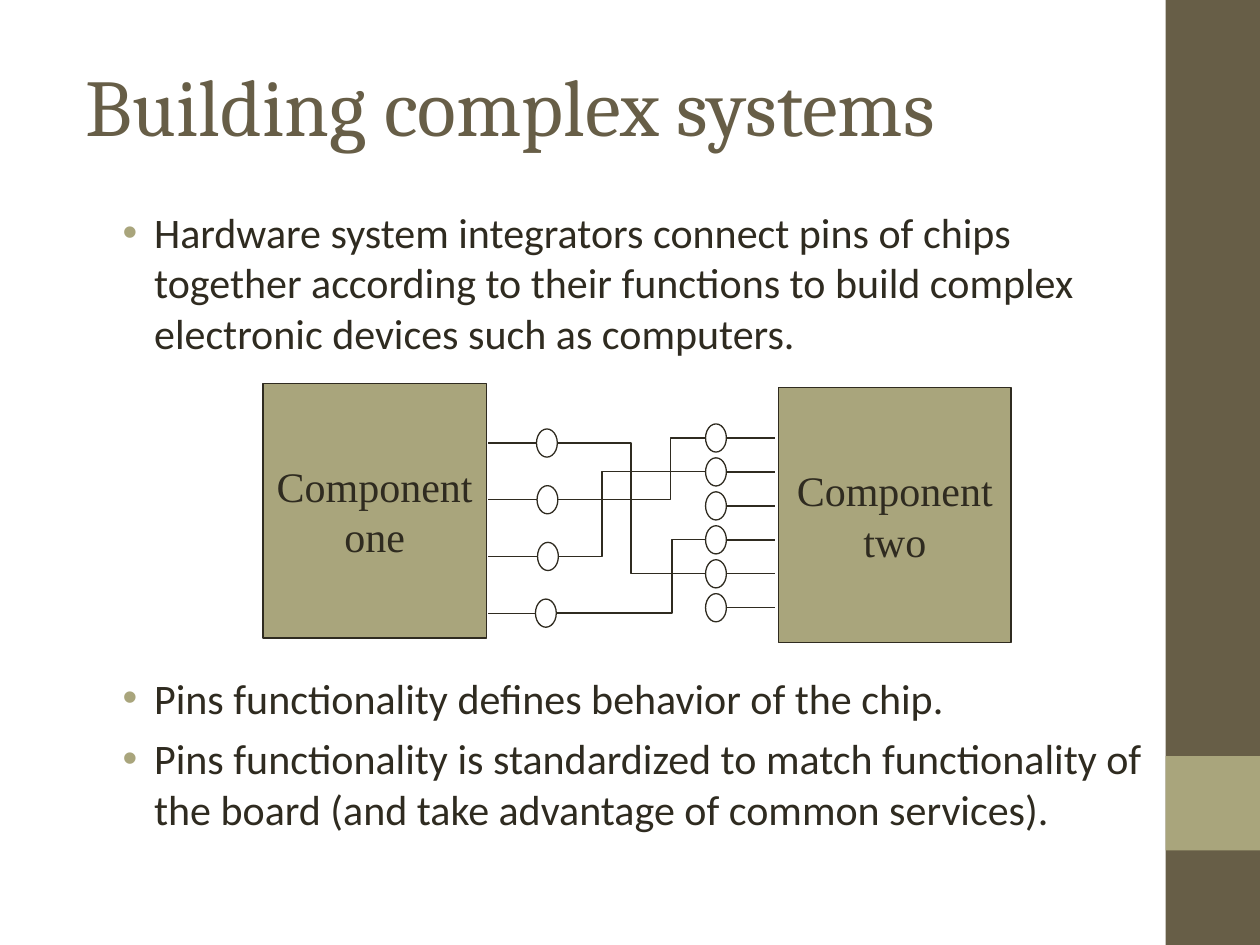
from lxml import etree
from pptx import Presentation
from pptx.dml.color import RGBColor
from pptx.enum import shapes, text
from pptx.oxml import ns
from pptx.util import Pt

BROWN, OLIVE, INK, WHITE = "675E47", "A9A57C", "2F2B20", "FFFFFF"


def color(value):
    return RGBColor.from_string(value)


def child(parent, tag, **attributes):
    return etree.SubElement(parent, ns.qn(tag), attributes)


class Board:
    line_width = 0.75
    body_size = 24

    def __init__(self, slide):
        self.shapes = slide.shapes

    def block(self, kind, left, top, width, height, fill, outline=None):
        block = self.shapes.add_shape(kind, Pt(left), Pt(top), Pt(width), Pt(height))
        block.shadow.inherit = False
        block.fill.solid()
        block.fill.fore_color.rgb = color(fill)
        if outline:
            block.line.color.rgb = color(outline)
            block.line.width = Pt(self.line_width)
        else:
            block.line.fill.background()
        return block

    def bar(self, *box, fill):
        return self.block(shapes.MSO_SHAPE.RECTANGLE, *box, fill)

    def add_words(self, paragraph, words, size, font, ink):
        run = paragraph.add_run()
        run.text = words
        run.font.size = Pt(size)
        run.font.name = font
        run.font.color.rgb = color(ink)

    def component(self, left, top, width, height, lines):
        chip = self.block(shapes.MSO_SHAPE.RECTANGLE, left, top, width, height, OLIVE, INK)
        frame = chip.text_frame
        frame.word_wrap = False
        frame.vertical_anchor = text.MSO_ANCHOR.MIDDLE
        for index, words in enumerate(lines):
            paragraph = frame.add_paragraph() if index else frame.paragraphs[0]
            paragraph.alignment = text.PP_ALIGN.CENTER
            self.add_words(paragraph, words, self.body_size, "Times New Roman", INK)

    def text_box(self, left, top, width, height, anchor):
        box = self.shapes.add_textbox(Pt(left), Pt(top), Pt(width), Pt(height))
        frame = box.text_frame
        frame.word_wrap = True
        frame.vertical_anchor = anchor
        return frame

    def title(self, words, *box):
        frame = self.text_box(*box, text.MSO_ANCHOR.MIDDLE)
        self.add_words(frame.paragraphs[0], words, 46, "Cambria", BROWN)

    def bullets(self, items, *box):
        frame = self.text_box(*box, text.MSO_ANCHOR.TOP)
        for index, words in enumerate(items):
            paragraph = frame.add_paragraph() if index else frame.paragraphs[0]
            paragraph.space_before = Pt(6)
            properties = paragraph._p.get_or_add_pPr()
            properties.set("marL", str(Pt(27)))
            properties.set("indent", str(Pt(-18)))
            child(child(properties, "a:buClr"), "a:srgbClr", val=OLIVE)
            child(properties, "a:buFont", typeface="Arial")
            child(properties, "a:buChar", char="•")
            self.add_words(paragraph, words, self.body_size, "Calibri", INK)

    def wire(self, start, end, bend=None):
        kind = shapes.MSO_CONNECTOR.STRAIGHT if bend is None else shapes.MSO_CONNECTOR.ELBOW
        wire = self.shapes.add_connector(kind, *map(Pt, start + end))
        wire.line.color.rgb = color(INK)
        wire.line.width = Pt(self.line_width)
        properties = wire._element.spPr
        child(properties, "a:effectLst")
        if bend is not None:
            geometry = properties.find(ns.qn("a:prstGeom"))
            guides = geometry.find(ns.qn("a:avLst"))
            share = round((bend - start[0]) / (end[0] - start[0]) * 100000)
            child(guides, "a:gd", name="adj1", fmla=f"val {share}")

    def pin(self, left, middle, lead_start, lead_end):
        width, height = 11.9, 16.1
        self.wire((lead_start, middle), (lead_end, middle))
        self.block(shapes.MSO_SHAPE.OVAL, left, middle - height / 2, width, height, WHITE, INK)
        return left, left + width


def main():
    deck = Presentation()
    deck.slide_width, deck.slide_height = Pt(720), Pt(540)
    board = Board(deck.slides.add_slide(deck.slide_layouts[6]))

    board.bar(666, 0, 54, 540, fill=BROWN)
    board.bar(666, 432, 54, 54, fill=OLIVE)
    board.title("Building complex systems", 42, 14.4, 612, 90)
    board.bullets(
        ["Hardware system integrators connect pins of chips together according to "
         "their functions to build complex electronic devices such as computers."],
        54, 114.5, 612, 100)
    board.bullets(
        ["Pins functionality defines behavior of the chip.",
         "Pins functionality is standardized to match functionality of the board "
         "(and take advantage of common services)."],
        54, 380.5, 612, 100)

    board.component(150.3, 219, 127.6, 145.7, ["Component", "one"])
    outputs = []
    for index, left in enumerate([306.6, 306.9, 307.2, 306]):
        middle = 253.2 + index * 32.4
        right = board.pin(left, middle, 279, left + 2.2)[1]
        outputs.append((right, middle))

    board.component(444.9, 221.6, 132.8, 145.7, ["Component", "two"])
    inputs = []
    for index in range(6):
        middle = 250.3 + index * 19.4
        left = board.pin(403.2, middle, 442.8, 413.3)[0]
        inputs.append((left, middle))

    for output, target, bend in [(0, 4, 360.7), (1, 0, 383), (2, 1, 344), (3, 3, 384)]:
        board.wire(outputs[output], inputs[target], bend)

    deck.save("out.pptx")


if __name__ == "__main__":
    main()
